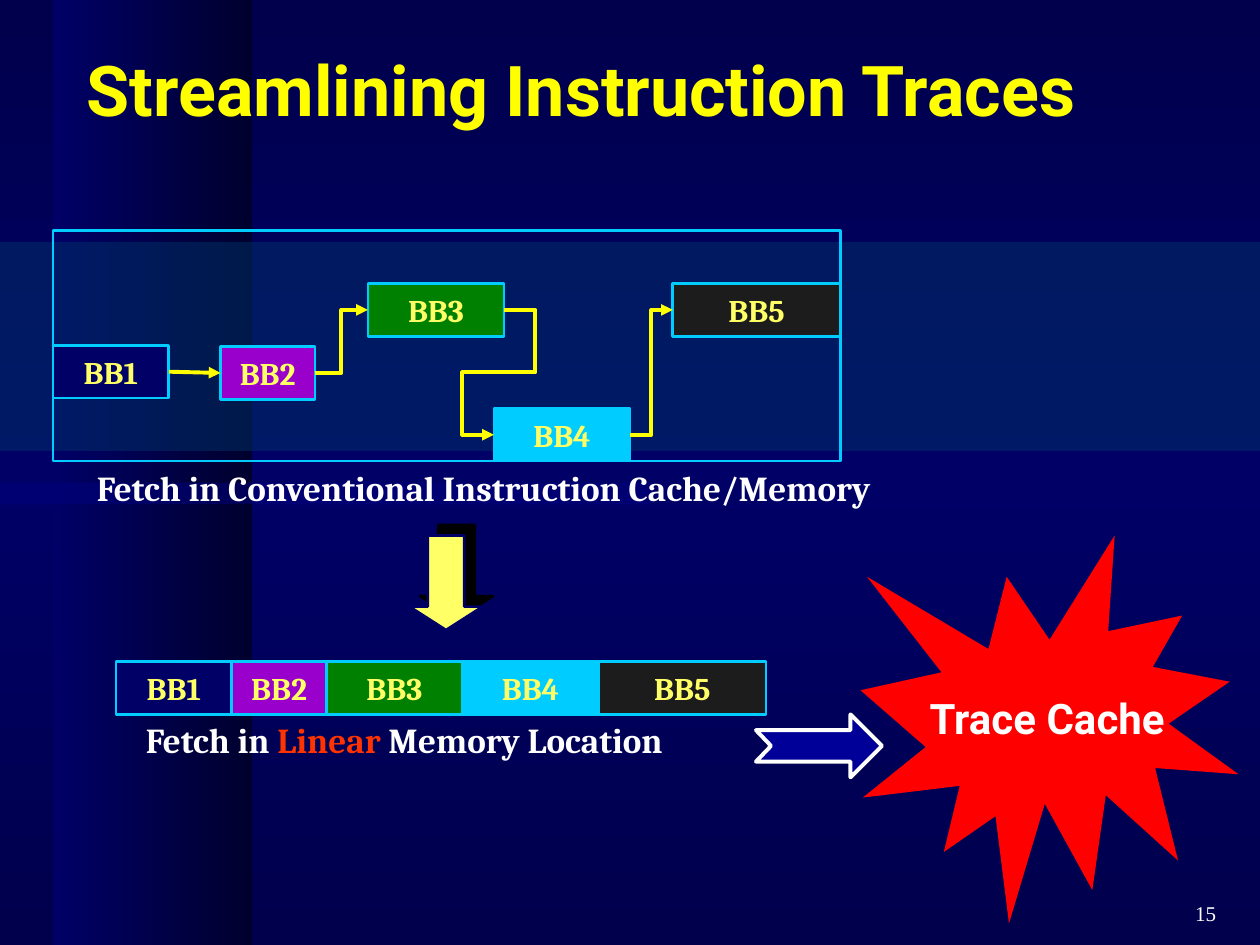
import copy

import pptx
import pptx.dml.color
import pptx.enum.dml
import pptx.enum.shapes
import pptx.enum.text
import pptx.oxml
import pptx.util
from pptx.util import Inches

SHAPE = pptx.enum.shapes.MSO_SHAPE
CONNECTOR = pptx.enum.shapes.MSO_CONNECTOR
ALIGN = pptx.enum.text.PP_ALIGN
MIDDLE = pptx.enum.text.MSO_ANCHOR.MIDDLE
NS = 'xmlns:a="http://schemas.openxmlformats.org/drawingml/2006/main"'
CYAN = "00CCFF"
BLOCK_H = 0.42
BLOCKS = {
    "BB1": (0.92, "000066"),
    "BB2": (0.75, "9900CC"),
    "BB3": (1.08, "008000"),
    "BB4": (1.08, CYAN),
    "BB5": (1.33, "1C1C1C"),
}


def rgb(hex_color):
    """Return the colour for a hex string."""
    return pptx.dml.color.RGBColor.from_string(hex_color)


def xml(text):
    """Parse a DrawingML fragment."""
    return pptx.oxml.parse_xml(text)


def set_gradient(fill, colors, angle):
    """Fill with evenly spaced gradient stops."""
    fill.gradient()
    fill.gradient_angle = angle
    stops = fill._fill._gradFill.gsLst
    while len(stops) < len(colors):
        stops.append(copy.deepcopy(stops[-1]))
    for i, (stop, color) in enumerate(zip(fill.gradient_stops, colors)):
        stop.color.rgb = rgb(color)
        stop.position = i / (len(colors) - 1)


def add_shape(slide, kind, box, fill=None, line=None, width=1.5):
    """Add a preset shape with plain fill and line."""
    sp = slide.shapes.add_shape(kind, *map(Inches, box))
    sp.shadow.inherit = False
    style(sp, fill, line, width)
    return sp


def style(sp, fill, line, width):
    """Set the fill and line of a shape, with none where no colour is given."""
    if fill:
        sp.fill.solid()
        sp.fill.fore_color.rgb = rgb(fill)
    else:
        sp.fill.background()
    if line:
        sp.line.color.rgb = rgb(line)
        sp.line.width = pptx.util.Pt(width)
    else:
        sp.line.fill.background()


def set_text(sp, runs, size, font, color, bold=True, align=ALIGN.LEFT, wrap=True):
    """Write one paragraph of (text, colour) runs; a colour of None is the default."""
    tf = sp.text_frame
    tf.word_wrap = wrap
    tf.vertical_anchor = MIDDLE
    p = tf.paragraphs[0]
    p.alignment = align
    p.font.size, p.font.name, p.font.bold = pptx.util.Pt(size), font, bold
    p.font.color.rgb = rgb(color)
    for text, run_color in runs:
        r = p.add_run()
        r.text = text
        if run_color:
            r.font.color.rgb = rgb(run_color)


def add_label(slide, box, runs, size, font, color, **options):
    """Add a text box."""
    sp = slide.shapes.add_textbox(*map(Inches, box))
    set_text(sp, runs, size, font, color, **options)


def add_block(slide, name, x, y):
    """Add a basic block at a position."""
    width, fill = BLOCKS[name]
    sp = add_shape(slide, SHAPE.RECTANGLE, (x, y, width, BLOCK_H), fill, CYAN)
    set_text(sp, [(name, None)], 18, "Cambria", "FFFF66", align=ALIGN.CENTER)
    return sp


def add_arrow(slide, kind, source, target):
    """Add an arrow from the right side of one block to the left side of another."""
    cxn = slide.shapes.add_connector(
        kind, source.left + source.width, source.top + source.height // 2,
        target.left, target.top + target.height // 2)
    cxn.line.color.rgb = rgb("FFFF00")
    cxn.line.width = pptx.util.Pt(2.25)
    cxn.line._get_or_add_ln().append(xml(f'<a:tailEnd {NS} type="triangle"/>'))
    cxn._element.spPr.append(xml(f"<a:effectLst {NS}/>"))
    return cxn


def loop_back(cxn, margin):
    """Turn an elbow into a loop that clears both ends by a margin."""
    reach = round(100000 * Inches(margin) / cxn.width)
    geom = cxn._element.spPr.prstGeom
    adjustments = zip(("adj1", "adj2", "adj3"), (-reach, 50000, 100000 + reach))
    guides = "".join(f'<a:gd name="{n}" fmla="val {v}"/>' for n, v in adjustments)
    geom.set("prst", "bentConnector5")
    for child in list(geom):
        geom.remove(child)
    geom.append(xml(f"<a:avLst {NS}>{guides}</a:avLst>"))


def add_background(slide):
    """Paint the background and its bands behind the title."""
    set_gradient(slide.background.fill, ["00004D", "000066", "00004D"], 90)
    column = add_shape(slide, SHAPE.RECTANGLE, (0.42, 0, 1.58, 7.5))
    set_gradient(column.fill, ["00002F", "000066"], 180)
    bands = [add_shape(slide, SHAPE.RECTANGLE, (0, 3.83, 5.17, 0.17), "000080"),
             add_shape(slide, SHAPE.RECTANGLE, (0, 1.92, 10, 1.66), "003366")]
    for sp in bands:
        color = sp.fill._xPr.solidFill[0]
        color.append(xml(f'<a:alpha {NS} val="50000"/>'))
    title = slide.shapes.title._element
    title.getparent().append(title)


def add_title(slide, box, text):
    """Place and format the title."""
    sp = slide.shapes.title
    sp.left, sp.top, sp.width, sp.height = map(Inches, box)
    set_text(sp, [(text, None)], 40, "Roboto", "FFFF00")
    pPr = sp.text_frame.paragraphs[0]._p.get_or_add_pPr()
    pPr.set("marL", str(Inches(0.26)))
    pPr.set("indent", "0")


def add_scattered_fetch(slide, box):
    """Draw the blocks spread over conventional memory and the jumps between them."""
    x, y, w, h = box
    add_shape(slide, SHAPE.RECTANGLE, box, line=CYAN)
    places = {"BB1": (0, 0.91), "BB2": (1.33, 0.92), "BB3": (2.5, 0.42),
              "BB4": (3.5, h - BLOCK_H), "BB5": (w - BLOCKS["BB5"][0], 0.42)}
    bb1, bb2, bb3, bb4, bb5 = [add_block(slide, name, x + dx, y + dy)
                               for name, (dx, dy) in places.items()]
    step = add_arrow(slide, CONNECTOR.STRAIGHT, bb1, bb2)
    step.begin_connect(bb1, 3)
    step.end_connect(bb2, 1)
    add_arrow(slide, CONNECTOR.ELBOW, bb2, bb3)
    loop_back(add_arrow(slide, CONNECTOR.ELBOW, bb3, bb4), 0.25)
    add_arrow(slide, CONNECTOR.ELBOW, bb4, bb5)
    add_label(slide, (x + 0.25, y + h - 0.01, 7.13, 0.44),
              [("Fetch in Conventional Instruction Cache/Memory", None)],
              20, "Cambria", "FFFFFF")


def add_linear_fetch(slide, x, y):
    """Draw the blocks side by side with their caption."""
    left = x
    for name, (width, _) in BLOCKS.items():
        add_block(slide, name, left, y)
        left += width
    add_label(slide, (x + 0.14, y + 0.4, 4.89, 0.44),
              [("Fetch in ", None), ("Linear", "FF3300"), (" Memory Location", None)],
              20, "Cambria", "FFFFFF")


def add_down_arrow(slide, box):
    """Draw the block arrow with its hard shadow."""
    sp = add_shape(slide, SHAPE.DOWN_ARROW, box, "FFFF66", "000066")
    sp.adjustments[0], sp.adjustments[1] = 0.5, 0.32
    effects = sp._element.spPr.find(pptx.oxml.ns.qn("a:effectLst"))
    effects.append(xml(
        f'<a:outerShdw {NS} dist="{pptx.util.Pt(8.5)}" dir="18900000" algn="ctr" '
        'rotWithShape="0"><a:srgbClr val="000000"/></a:outerShdw>'))


def add_notched_arrow(slide, box):
    """Draw the notched arrow that leads to the trace cache."""
    x, y, w, h = box
    outline = [(0, 0.25), (0.75, 0.25), (0.75, 0), (1, 0.5), (0.75, 1),
               (0.75, 0.75), (0, 0.75), (0.12, 0.5)]
    points = [(Inches(x + w * u), Inches(y + h * v)) for u, v in outline]
    fb = slide.shapes.build_freeform(*points[0])
    fb.add_line_segments(points[1:], close=True)
    sp = fb.convert_to_shape()
    sp.shadow.inherit = False
    style(sp, "000099", "FFFFFF", 2.25)


def add_trace_cache(slide, box):
    """Draw the burst that names the trace cache."""
    sp = add_shape(slide, SHAPE.EXPLOSION1, box, "FF0000")
    set_text(sp, [("Trace Cache", None)], 24, "Roboto", "FFFFFF",
             align=ALIGN.CENTER, wrap=False)


def add_page_number(slide, box):
    """Add the page number."""
    add_label(slide, box, [("15", None)], 12, "Times New Roman", "FFFFFF",
              bold=False, align=ALIGN.RIGHT)


def main():
    """Build and save the slide."""
    prs = pptx.Presentation()
    prs.slide_width, prs.slide_height = Inches(10), Inches(7.5)
    slide = prs.slides.add_slide(prs.slide_layouts[5])
    add_background(slide)
    add_title(slide, (0.33, 0.08, 9.5, 1.25), "Streamlining Instruction Traces")
    add_scattered_fetch(slide, (0.42, 1.83, 6.25, 1.83))
    add_linear_fetch(slide, 0.92, 5.25)
    add_down_arrow(slide, (3.25, 4.25, 0.58, 0.75))
    add_notched_arrow(slide, (6, 5.67, 1, 0.5))
    add_trace_cache(slide, (6.83, 4.25, 3, 3.08))
    add_page_number(slide, (7.67, 7, 2.08, 0.5))
    prs.save("out.pptx")


if __name__ == "__main__":
    main()
